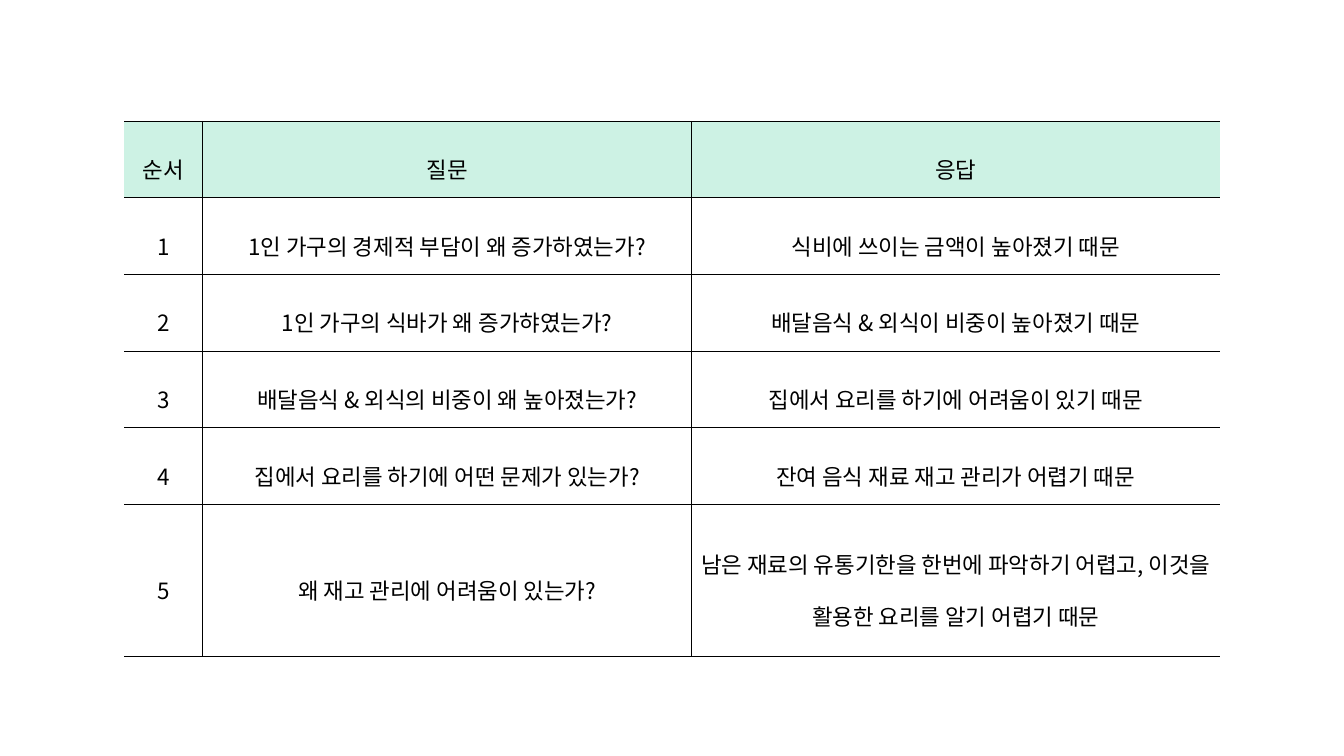
from lxml.etree import SubElement
from pptx import Presentation
from pptx.dml.color import RGBColor
from pptx.enum.text import MSO_ANCHOR, PP_ALIGN
from pptx.oxml.ns import qn
from pptx.util import Inches, Pt

BLACK = RGBColor(0x00, 0x00, 0x00)
WHITE = RGBColor(0xFF, 0xFF, 0xFF)
MINT = RGBColor(0xCD, 0xF2, 0xE4)
FONT = "Noto Sans CJK KR"

COLUMN_WIDTHS = [0.78, 4.85, 5.24]
ROW_HEIGHTS = [0.76] * 5 + [1.51]
ROWS = [
    ("순서", "질문", "응답"),
    ("1", "1인 가구의 경제적 부담이 왜 증가하였는가?", "식비에 쓰이는 금액이 높아졌기 때문"),
    ("2", "1인 가구의 식바가 왜 증가햐였는가?", "배달음식 & 외식이 비중이 높아졌기 때문"),
    ("3", "배달음식 & 외식의 비중이 왜 높아졌는가?", "집에서 요리를 하기에 어려움이 있기 때문"),
    ("4", "집에서 요리를 하기에 어떤 문제가 있는가?", "잔여 음식 재료 재고 관리가 어렵기 때문"),
    ("5", "왜 재고 관리에 어려움이 있는가?",
     "남은 재료의 유통기한을 한번에 파악하기 어렵고, 이것을 활용한 요리를 알기 어렵기 때문"),
]


def write_cell(cell, text, size=16, color=BLACK, spacing=1.6):
    cell.vertical_anchor = MSO_ANCHOR.MIDDLE
    cell.margin_left = cell.margin_right = Inches(0.07)
    cell.margin_top = cell.margin_bottom = Inches(0.02)
    para = cell.text_frame.paragraphs[0]
    para.alignment = PP_ALIGN.CENTER
    para.line_spacing = spacing
    span = para.add_run()
    span.text = text
    span.font.size = Pt(size)
    span.font.name = FONT
    span.font.color.rgb = color
    SubElement(span.font._element, qn("a:ea"), typeface=FONT)


def draw_borders(cell, hidden=(), width=0.28, color=BLACK):
    properties = cell._tc.get_or_add_tcPr()
    for side in "LRTB":
        line = SubElement(properties, qn(f"a:ln{side}"), w=str(Pt(width)))
        if side in hidden:
            SubElement(line, qn("a:noFill"))
        else:
            fill = SubElement(line, qn("a:solidFill"))
            SubElement(fill, qn("a:srgbClr"), val=str(color))


deck = Presentation()
deck.slide_width = Inches(13.33)
deck.slide_height = Inches(7.5)
page = deck.slides.add_slide(deck.slide_layouts[6])

frame = page.shapes.add_table(
    len(ROWS), len(COLUMN_WIDTHS), Inches(1.23), Inches(1.2),
    Inches(sum(COLUMN_WIDTHS)), Inches(sum(ROW_HEIGHTS)))
table = frame.table
table.first_row = False
table.horz_banding = False

for column, width in zip(table.columns, COLUMN_WIDTHS):
    column.width = Inches(width)
for row, height in zip(table.rows, ROW_HEIGHTS):
    row.height = Inches(height)

open_sides = ["L", "", "R"]
for row_index, texts in enumerate(ROWS):
    for column_index, text in enumerate(texts):
        cell = table.cell(row_index, column_index)
        write_cell(cell, text)
        draw_borders(cell, hidden=open_sides[column_index])
        cell.fill.solid()
        cell.fill.fore_color.rgb = MINT if row_index == 0 else WHITE

deck.save("out.pptx")
